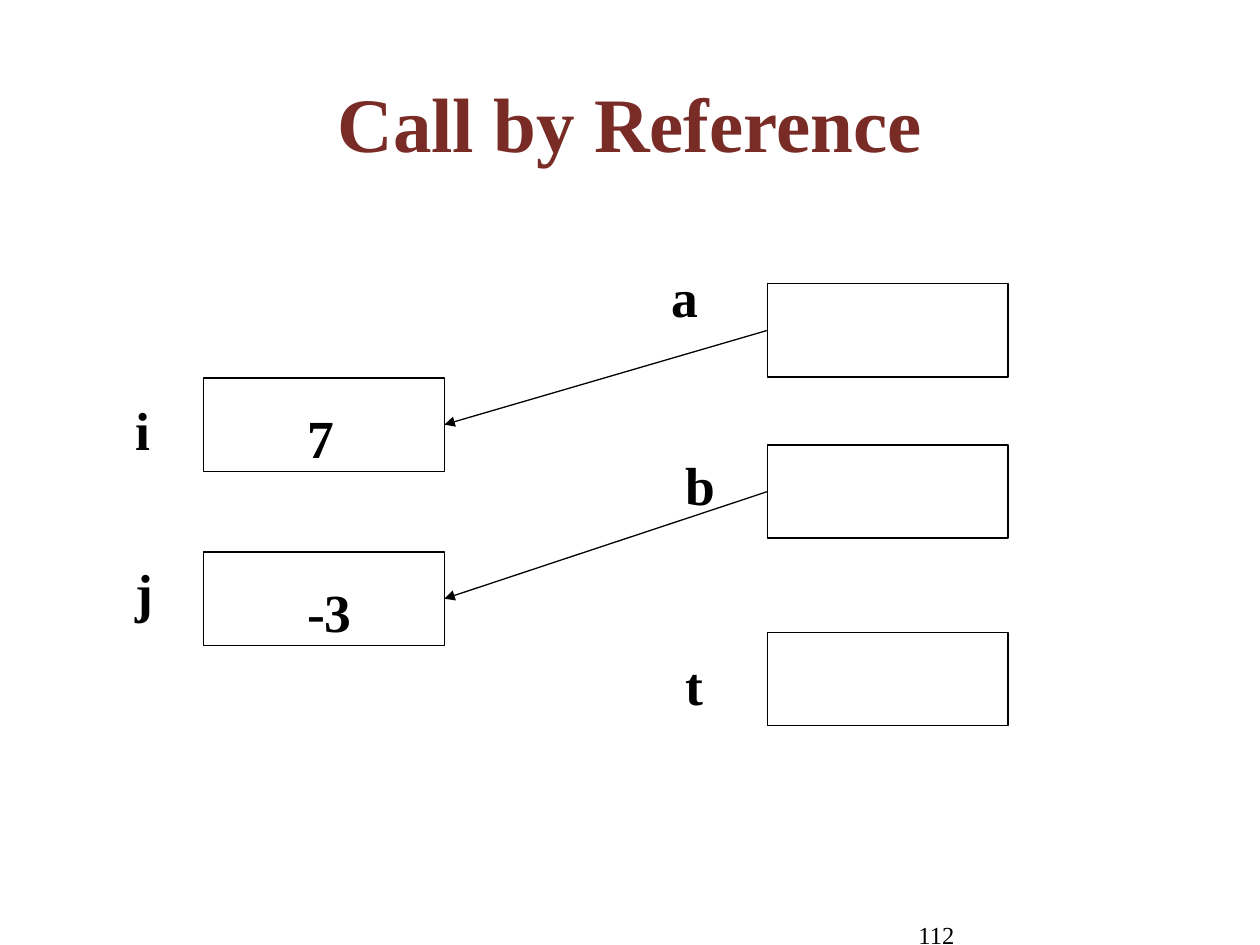
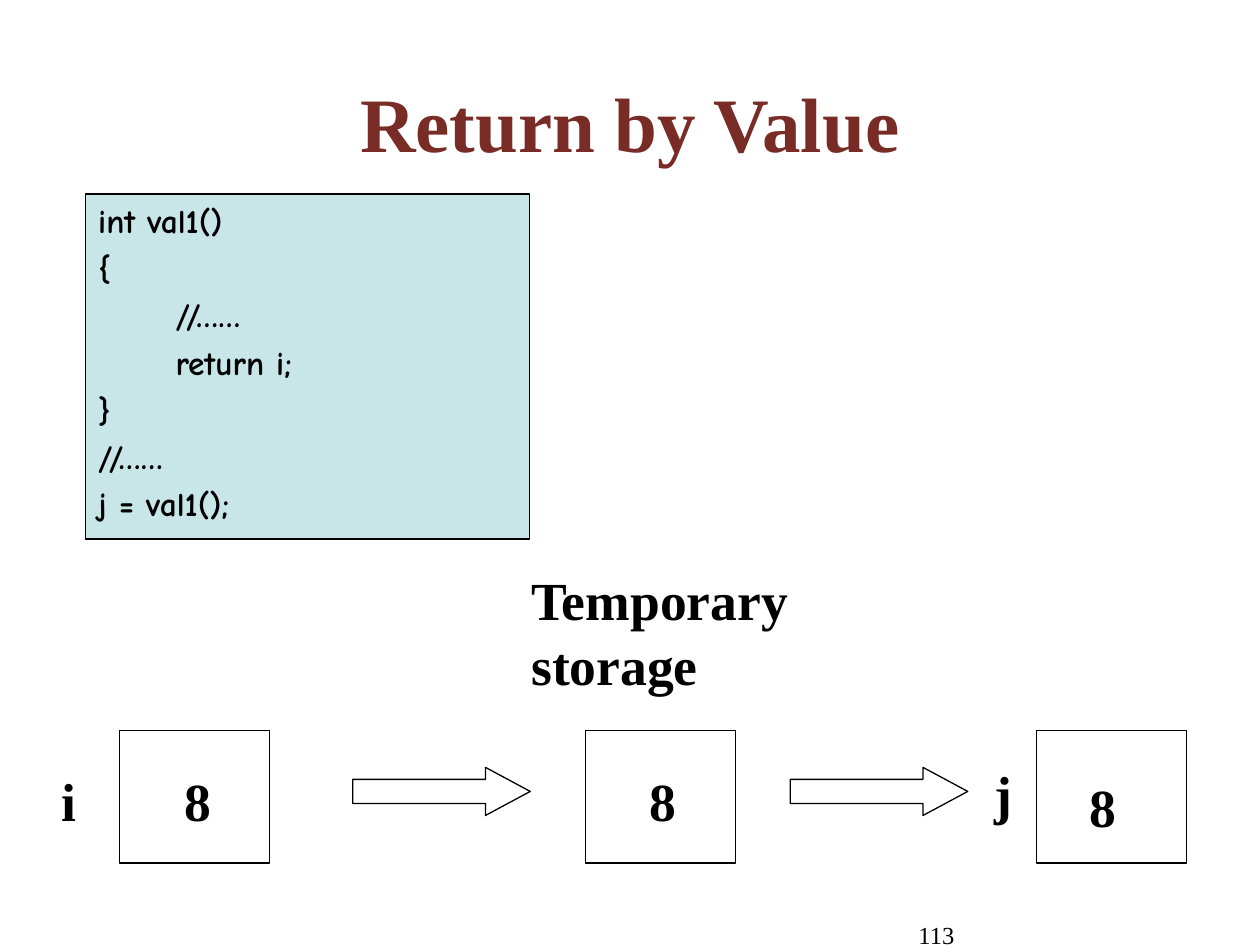
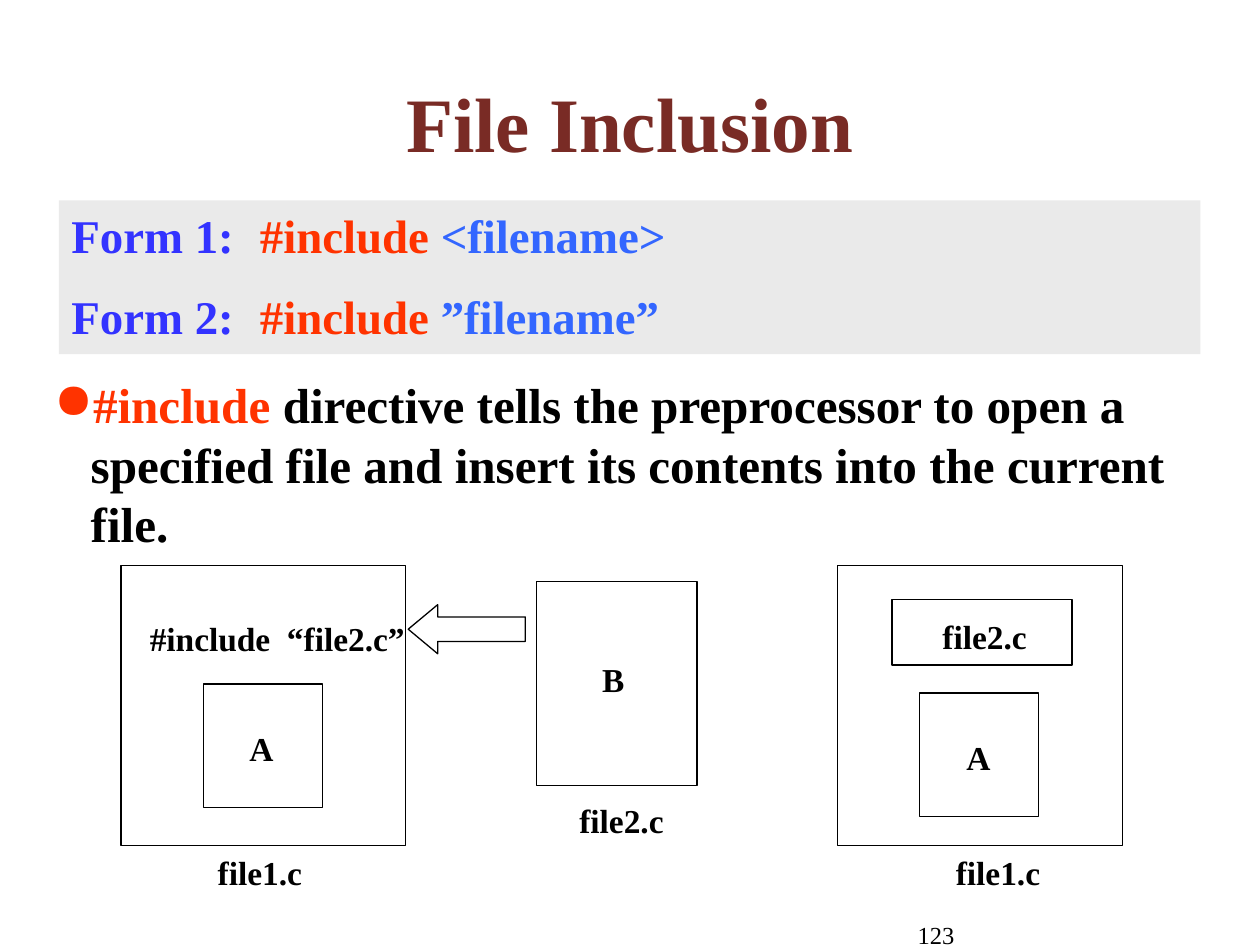
"""Build three C programming slides on parameter passing, returning and file inclusion."""
from lxml.etree import SubElement
from pptx import Presentation
from pptx.dml.color import RGBColor
from pptx.enum.shapes import MSO_CONNECTOR as CONNECTOR, MSO_SHAPE as SHAPE
from pptx.enum.text import MSO_ANCHOR as ANCHOR, MSO_AUTO_SIZE as AUTO, PP_ALIGN as ALIGN
from pptx.oxml.ns import qn
from pptx.util import Cm, Pt

COLOURS = {
    "ink": "000000", "title": "792B25", "paper": "FFFFFF", "code": "BBE0E3",
    "forms": "EAEAEA", "form": "3333FF", "directive": "FF3300", "file": "3366FF",
}
SERIF, CODE_FONT = "Times New Roman", "Comic Neue"
LINE_HEIGHT = 1.21
LARGE, SMALL = 30.6, 19.1
LARGE_HEIGHT, SMALL_HEIGHT = 1.57, 1.07

VARIABLE_SIZE = (4.85, 1.88)
VARIABLES = {
    "i": (4.11, 7.62), "j": (4.11, 11.13),
    "b": (15.47, 8.97), "a": (15.47, 5.72), "t": (15.47, 12.75),
}
VARIABLE_LABELS = [
    ("i", 2.49, 7.87, 0.81), ("j", 2.49, 11.13, 0.89), ("a", 13.28, 5.18, 1.07),
    ("b", 13.56, 8.97, 1.12), ("t", 13.56, 13.0, 0.89),
    ("7", 5.94, 8.03, 1.07), ("-3", 5.94, 11.53, 1.42),
]
REFERENCES = [("a", "i"), ("b", "j")]

CODE = ["int val1()", "{", "\t//……", "\treturn i;", "}", "//……", "j = val1();"]
STORAGE_LEFTS = (2.41, 11.81, 20.9)
COPY_ARROW_LEFTS = (7.11, 15.93)
STORAGE_LABELS = [
    ("i", 0.99, 15.34, 0.81), ("j", 19.79, 15.21, 0.89), ("8", 3.48, 15.34, 1.07),
    ("8", 12.85, 15.34, 1.07), ("8", 21.72, 15.47, 1.07),
]

FORMS = [
    [(f"Form {number}:", "form"), ("\t#include ", "directive"), (name, "file")]
    for number, name in ((1, "<filename>"), (2, "”filename”"))
]
EXPLANATION = [[
    ("#include ", "directive"),
    ("directive tells the preprocessor to open a specified file and insert its "
     "contents into the current file.", "ink"),
]]
FILE_BOXES = [
    (2.44, 11.4, 5.74, 5.64), (4.11, 13.79, 2.39, 2.49), (10.82, 11.73, 3.23, 4.11),
    (16.89, 11.4, 5.74, 5.64), (18.54, 13.97, 2.39, 2.49), (17.98, 12.09, 3.63, 1.32),
]
FILE_LABELS = [
    ("#include  “file2.c”", 2.77, 12.32, 5.72), ("file1.c", 4.14, 17.04, 2.21),
    ("file2.c", 11.43, 16.0, 2.21), ("file1.c", 19.02, 17.04, 2.21),
    ("file2.c", 18.75, 12.29, 2.21), ("A", 4.78, 14.55, 0.99),
    ("B", 11.89, 13.16, 0.94), ("A", 19.23, 14.73, 0.99),
]


def rgb(name):
    return RGBColor.from_string(COLOURS[name])


def add_bullet(paragraph, symbol, colour, indent):
    properties = paragraph._p.get_or_add_pPr()
    properties.set("marL", str(Cm(indent)))
    properties.set("indent", str(-Cm(indent)))
    bullet_colour = SubElement(properties, qn("a:buClr"))
    SubElement(bullet_colour, qn("a:srgbClr"), val=COLOURS[colour])
    SubElement(properties, qn("a:buChar"), char=symbol)


def add_tab(paragraph, position):
    tabs = SubElement(paragraph._p.get_or_add_pPr(), qn("a:tabLst"))
    SubElement(tabs, qn("a:tab"), pos=str(Cm(position)), algn="l")


def write(slide, paragraphs, place, *, holder=None, size=LARGE, font=SERIF, colour="ink",
          bold=True, align=ALIGN.LEFT, anchor=ANCHOR.TOP, wrap=True, gap=0, tab=None, bullet=None):
    """Write paragraphs, each a string or a list of (text, colour), in a box or a given shape."""
    holder = holder or slide.shapes.add_textbox(*map(Cm, place))
    frame = holder.text_frame
    frame.word_wrap = wrap
    frame.auto_size = AUTO.NONE if wrap else AUTO.SHAPE_TO_FIT_TEXT
    frame.vertical_anchor = anchor
    for index, runs in enumerate(paragraphs):
        paragraph = frame.add_paragraph() if index else frame.paragraphs[0]
        paragraph.alignment = align
        paragraph.line_spacing = Pt(round(size * LINE_HEIGHT, 1))
        paragraph.space_before = Pt(round(size * gap, 1) if index else 0)
        if bullet:
            add_bullet(paragraph, *bullet)
        if tab:
            add_tab(paragraph, tab)
        for text, run_colour in [(runs, colour)] if isinstance(runs, str) else runs:
            run = paragraph.add_run()
            run.text = text
            run.font.name, run.font.size, run.font.bold = font, Pt(size), bold
            run.font.color.rgb = rgb(run_colour)


def draw(slide, place, kind=SHAPE.RECTANGLE, fill=None, opacity=None, outlined=True, head=None):
    shape = slide.shapes.add_shape(kind, *map(Cm, place))
    shape.shadow.inherit = False
    if fill:
        shape.fill.solid()
        shape.fill.fore_color.rgb = rgb(fill)
        if opacity:
            fill_colour = shape._element.spPr.find(f"{qn('a:solidFill')}/{qn('a:srgbClr')}")
            SubElement(fill_colour, qn("a:alpha"), val=str(opacity * 1000))
    else:
        shape.fill.background()
    if outlined:
        shape.line.color.rgb = rgb("ink")
        shape.line.width = Pt(0.75)
    else:
        shape.line.fill.background()
    if head:
        shape.adjustments[0], shape.adjustments[1] = 0.5, head
    return shape


def point_to(slide, source, target):
    arrow = slide.shapes.add_connector(CONNECTOR.STRAIGHT, 0, 0, 0, 0)
    arrow.begin_connect(source, 1)
    arrow.end_connect(target, 3)
    arrow.line.color.rgb = rgb("ink")
    arrow.line.width = Pt(0.75)
    SubElement(arrow.line._get_or_add_ln(), qn("a:tailEnd"), type="triangle")
    SubElement(arrow._element.spPr, qn("a:effectLst"))


def label(slide, labels, height, **style):
    for text, left, top, width in labels:
        write(slide, [text], (left, top, width, height), wrap=False, **style)


def start_slide(deck, title, number):
    slide = deck.slides.add_slide(deck.slide_layouts[6])
    slide.background.fill.solid()
    slide.background.fill.fore_color.rgb = rgb("paper")
    write(slide, [number], (17.15, 18.42, 2.34, 0.64), size=14, bold=False, align=ALIGN.RIGHT)
    write(slide, [title], (1.27, 1.07, 22.86, 2.74), size=44, colour="title",
          align=ALIGN.CENTER, anchor=ANCHOR.MIDDLE)
    return slide


def build_call_by_reference(deck):
    slide = start_slide(deck, "Call by Reference", "112")
    variables = {name: draw(slide, corner + VARIABLE_SIZE) for name, corner in VARIABLES.items()}
    label(slide, VARIABLE_LABELS, LARGE_HEIGHT)
    for parameter, argument in REFERENCES:
        point_to(slide, variables[parameter], variables[argument])


def build_return_by_value(deck):
    slide = start_slide(deck, "Return by Value", "113")
    code_place = (1.73, 3.91, 8.94, 6.96)
    code_panel = draw(slide, code_place, fill="code", opacity=80)
    write(slide, CODE, code_place, holder=code_panel, size=SMALL, font=CODE_FONT, gap=0.2, tab=1.56)
    for left in STORAGE_LEFTS:
        draw(slide, (left, 14.73, 3.02, 2.67))
    for left in COPY_ARROW_LEFTS:
        draw(slide, (left, 15.47, 3.58, 0.97), SHAPE.RIGHT_ARROW, head=0.93)
    write(slide, ["Temporary", "storage"], (10.46, 11.3, 6.68, 2.87))
    label(slide, STORAGE_LABELS, LARGE_HEIGHT)


def build_file_inclusion(deck):
    slide = start_slide(deck, "File Inclusion", "123")
    write(slide, EXPLANATION, (0.84, 7.42, 23.72, 3.68), size=28.1, bullet=("●", "directive", 0.74))
    forms_place = (1.19, 4.04, 23.01, 3.1)
    forms_panel = draw(slide, forms_place, fill="forms", outlined=False)
    write(slide, FORMS, forms_place, holder=forms_panel, size=26.8, gap=0.5, tab=3.8)
    for place in FILE_BOXES:
        draw(slide, place)
    draw(slide, (8.23, 12.19, 2.36, 0.99), SHAPE.LEFT_ARROW, head=0.6)
    label(slide, FILE_LABELS, SMALL_HEIGHT, size=SMALL, anchor=ANCHOR.MIDDLE)


def main():
    deck = Presentation()
    deck.slide_width, deck.slide_height = Cm(25.4), Cm(19.05)
    build_call_by_reference(deck)
    build_return_by_value(deck)
    build_file_inclusion(deck)
    deck.save("out.pptx")


if __name__ == "__main__":
    main()
